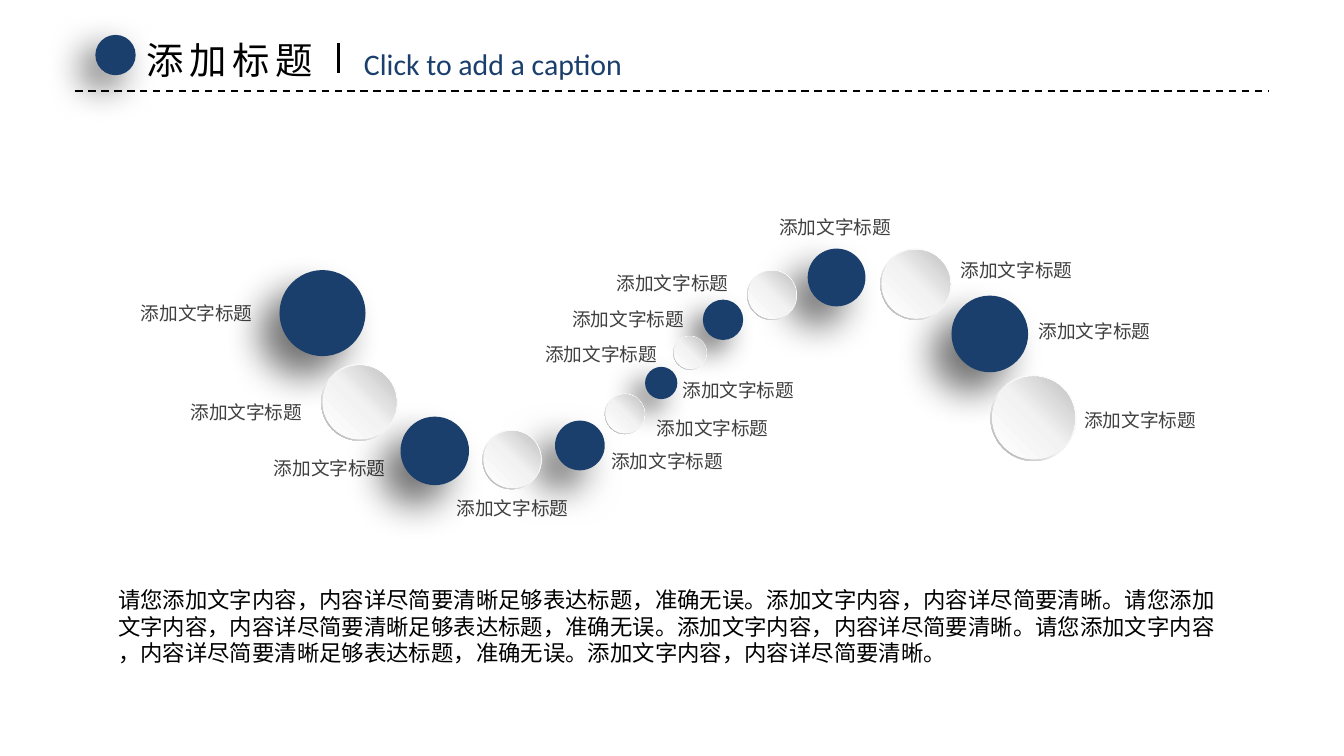
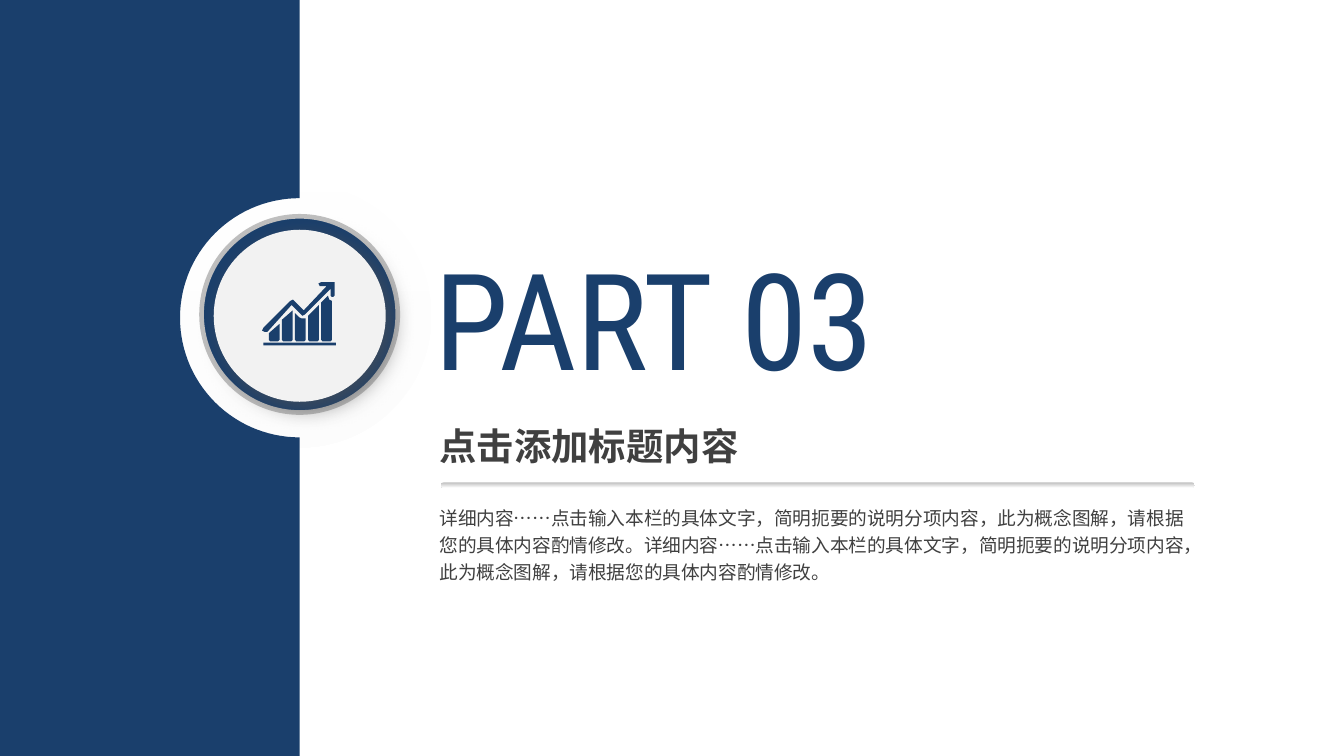
"""Build a slide with a chain of labelled discs and a section slide."""
import math

from lxml import etree
from pptx import Presentation
from pptx import util as u
from pptx.dml.color import RGBColor
from pptx.enum import dml, lang, shapes, text
from pptx.oxml.ns import qn

HUE = {"blue": "1A3F6C", "ink": "000000", "text": "404040", "pale": "F2F2F2",
       "white": "FFFFFF", "grey": "BFBFBF", "dark": "A6A6A6", "shade": "525252"}
CJK = "Noto Sans CJK SC"
KIND = shapes.MSO_SHAPE

TITLE = "添加标题"
CAPTION = "Click to add a caption"
LABEL = "添加文字标题"
BODY = [
    "请您添加文字内容，内容详尽简要清晰足够表达标题，准确无误。添加文字内容，内容详尽简要清晰。请您添加",
    "文字内容，内容详尽简要清晰足够表达标题，准确无误。添加文字内容，内容详尽简要清晰。请您添加文字内容",
    "，内容详尽简要清晰足够表达标题，准确无误。添加文字内容，内容详尽简要清晰。",
]
PART = "PART 03"
TOPIC = "点击添加标题内容"
DETAIL = "详细内容……点击输入本栏的具体文字，简明扼要的说明分项内容，此为概念图解，请根据您的具体内容酌情修改。" * 2

# CHAIN
CHAIN = [
    (2.08, 2.01, 0.64, 0.95, 2.2), (2.39, 2.71, 0.57, 1.32, 2.93),
    (2.98, 3.1, 0.51, 1.94, 3.35), (3.59, 3.2, 0.44, 3.3, 3.65),
    (4.13, 3.13, 0.37, 4.45, 3.3), (4.5, 2.93, 0.3, 4.79, 3.05),
    (4.8, 2.73, 0.24, 4.98, 2.77), (5.01, 2.5, 0.25, 3.96, 2.5),
    (5.23, 2.23, 0.3, 4.16, 2.24), (5.56, 2.01, 0.37, 4.49, 1.97),
    (6.01, 1.85, 0.43, 5.7, 1.56), (6.55, 1.85, 0.53, 7.05, 1.88),
    (7.08, 2.2, 0.57, 7.63, 2.33), (7.37, 2.79, 0.64, 7.97, 2.99),
]
RIM = [(0, "white"), (55, "pale"), (100, "dark")]
FACE = [(0, "white"), (51, "pale"), (100, "grey")]
BARS = [
    [(0, 2.48), (0.08, 2.41)],
    [(0, 2.38), (0.08, 2.31)],
    [(0, 2.33), (0.03, 2.36), (0.05, 2.37), (0.08, 2.37)],
    [(0, 2.35), (0.08, 2.27)],
    [(0, 2.25), (0.05, 2.2), (0.06, 2.23), (0.08, 2.24)],
]
ARROW = [
    (1.99, 2.47), (2.17, 2.27), (2.24, 2.34), (2.25, 2.35), (2.27, 2.34),
    (2.46, 2.15), (2.46, 2.2), (2.47, 2.21), (2.48, 2.21), (2.49, 2.2),
    (2.49, 2.11), (2.49, 2.1), (2.39, 2.1), (2.37, 2.11), (2.38, 2.13),
    (2.43, 2.13), (2.26, 2.31), (2.19, 2.24), (2.18, 2.23), (2.16, 2.24),
    (1.96, 2.44), (1.95, 2.46), (1.97, 2.47),
]


def size(*inches):
    return [u.Cm(2.54 * n) for n in inches]


def rgb(name):
    return RGBColor.from_string(HUE[name])


def tint(parent, name, alpha=100):
    node = etree.SubElement(parent, qn("a:srgbClr"), val=HUE[name])
    if alpha < 100:
        etree.SubElement(node, qn("a:alpha"), val=str(alpha * 1000))


def paint(shape, hue):
    shape.shadow.inherit = False
    shape.line.fill.background()
    shape.fill.solid()
    shape.fill.fore_color.rgb = rgb(hue)
    return shape


def blend(shape, stops, angle, alpha=100):
    shape.fill.gradient()
    shape.fill.gradient_angle = 360 - angle
    holder = next(shape._element.spPr.iter(qn("a:gsLst")))
    for old in list(holder):
        holder.remove(old)
    for pos, hue in stops:
        tint(etree.SubElement(holder, qn("a:gs"), pos=str(pos * 1000)), hue, alpha)


def shade(shape, alpha, blur, dist, angle, hue="ink"):
    effect = shape._element.spPr.find(qn("a:effectLst"))
    node = etree.SubElement(effect, qn("a:outerShdw"), blurRad=str(u.Pt(blur)),
                            dist=str(u.Pt(dist)), dir=str(angle * 60000),
                            algn="ctr", rotWithShape="0")
    tint(node, hue, alpha)


def form(slide, kind, box, hue):
    return paint(slide.shapes.add_shape(kind, *size(*box)), hue)


def draw(slide, dots, hue):
    first, *rest = [size(*dot) for dot in dots]
    pen = slide.shapes.build_freeform(*first, scale=1)
    pen.add_line_segments(rest, close=True)
    return paint(pen.convert_to_shape(), hue)


def rule(slide, ends, width, dash=None):
    line = slide.shapes.add_connector(shapes.MSO_CONNECTOR.STRAIGHT, *size(*ends))
    line.line.color.rgb = rgb("ink")
    line.line.width = u.Pt(width)
    if dash:
        line.line.dash_style = dash
    etree.SubElement(line._element.spPr, qn("a:effectLst"))


def write(slide, box, lines, points, hue, face=CJK, wrap=False, bold=False,
          track=0, lead=None, tight=False):
    frame = slide.shapes.add_textbox(*size(*box)).text_frame
    frame.word_wrap = wrap
    frame.auto_size = text.MSO_AUTO_SIZE.SHAPE_TO_FIT_TEXT
    if tight:
        frame.margin_left, frame.margin_right = size(0.07, 0.07)
        frame.margin_top, frame.margin_bottom = size(0.04, 0.04)
    frame.text = "\n".join(lines)
    for para in frame.paragraphs:
        if lead:
            para.line_spacing = lead
        for run in para.runs:
            font = run.font
            font.size, font.name, font.bold = u.Pt(points), face, bold
            font.color.rgb = rgb(hue)
            if face != "Calibri":
                font.language_id = lang.MSO_LANGUAGE_ID.SIMPLIFIED_CHINESE
            props = run._r.get_or_add_rPr()
            etree.SubElement(props, qn("a:ea"), typeface=CJK)
            if track:
                props.set("spc", str(track * 100))


def head(slide):
    rule(slide, (0.56, 0.68, 9.44, 0.68), 1, dml.MSO_LINE.DASH)
    dot = form(slide, KIND.OVAL, (0.71, 0.26, 0.3, 0.3), "blue")
    shade(dot, 60, 20, 10, 135)
    write(slide, (0.99, 0.23, 1.49, 0.44), [TITLE], 20, "ink", track=3)
    write(slide, (2.61, 0.29, 2.25, 0.37), [CAPTION], 16, "blue", "Calibri")
    rule(slide, (2.52, 0.32, 2.52, 0.54), 1.5)


def chain(slide):
    head(slide)
    for *_, left, top in CHAIN:
        write(slide, (left, top, 1.04, 0.27), [LABEL], 10, "text")
    write(slide, (0.78, 4.31, 8.45, 0.71), BODY, 12, "ink")
    for left, top, wide, *_ in CHAIN[::2]:
        disc = form(slide, KIND.OVAL, (left, top, wide, wide), "blue")
        shade(disc, *((54, 20, 15) if wide > 0.3 else (50, 15, 10)), 135)
    for left, top, wide, *_ in CHAIN[1::2]:
        ring = form(slide, KIND.DONUT, (left, top, wide, wide), "white")
        ring.adjustments[0] = 0.05
        blend(ring, RIM, 135)
        gap, core = 0.02 * wide, 0.96 * wide
        disc = form(slide, KIND.OVAL, (left + gap, top + gap, core, core), "white")
        blend(disc, FACE, 315)


def badge(slide):
    halo = form(slide, KIND.OVAL, (1.25, 1.37, 1.96, 1.96), "white")
    blend(halo, [(0, "white"), (100, "grey")], 90, alpha=4)
    ring = form(slide, KIND.OVAL, (1.5, 1.61, 1.46, 1.46), "blue")
    ring.line.color.rgb = rgb("grey")
    ring.line.width = u.Pt(2.5)
    disc = form(slide, KIND.OVAL, (1.59, 1.71, 1.28, 1.28), "pale")
    shade(disc, 64, 12, 5, 45, "shade")


def panel(slide):
    edge, mid, reach = 2.23, 2.365, 0.89
    turns = [math.radians(deg) for deg in range(-90, 91, 3)]
    bite = [(edge - reach * math.cos(t), mid + reach * math.sin(t)) for t in turns]
    draw(slide, [(-0.1, -0.47), (edge, -0.47), *bite, (edge, 6.1), (-0.1, 6.1)], "blue")


def icon(slide):
    form(slide, KIND.RECTANGLE, (1.96, 2.55, 0.54, 0.02), "blue")
    foot, wide, cut = 2.54, 0.08, 0.01
    for num, tops in enumerate(BARS):
        left = 2 + 0.0975 * num
        base = [(wide, foot - cut), (wide - cut, foot), (cut, foot), (0, foot - cut)]
        draw(slide, [(left + x, y) for x, y in tops + base], "blue")
    draw(slide, ARROW, "blue")


def section(slide):
    badge(slide)
    panel(slide)
    bar = form(slide, KIND.ROUNDED_RECTANGLE, (3.28, 3.59, 5.61, 0.04), "grey")
    bar.adjustments[0] = 0.5
    blend(bar, [(0, "grey"), (100, "white")], 90)
    write(slide, (3.16, 1.72, 3.94, 1.29), [PART], 72, "blue", "Roboto Condensed",
          wrap=True, tight=True)
    write(slide, (3.17, 3.1, 2.72, 0.44), [TOPIC], 20, "text", "League Spartan",
          wrap=True, bold=True)
    write(slide, (3.2, 3.7, 5.69, 0.68), [DETAIL], 10, "text", wrap=True,
          lead=1.2, tight=True)
    icon(slide)


def main():
    deck = Presentation()
    deck.slide_width, deck.slide_height = size(10, 5.625)
    for build in (chain, section):
        build(deck.slides.add_slide(deck.slide_layouts[6]))
    deck.save("out.pptx")


if __name__ == "__main__":
    main()
